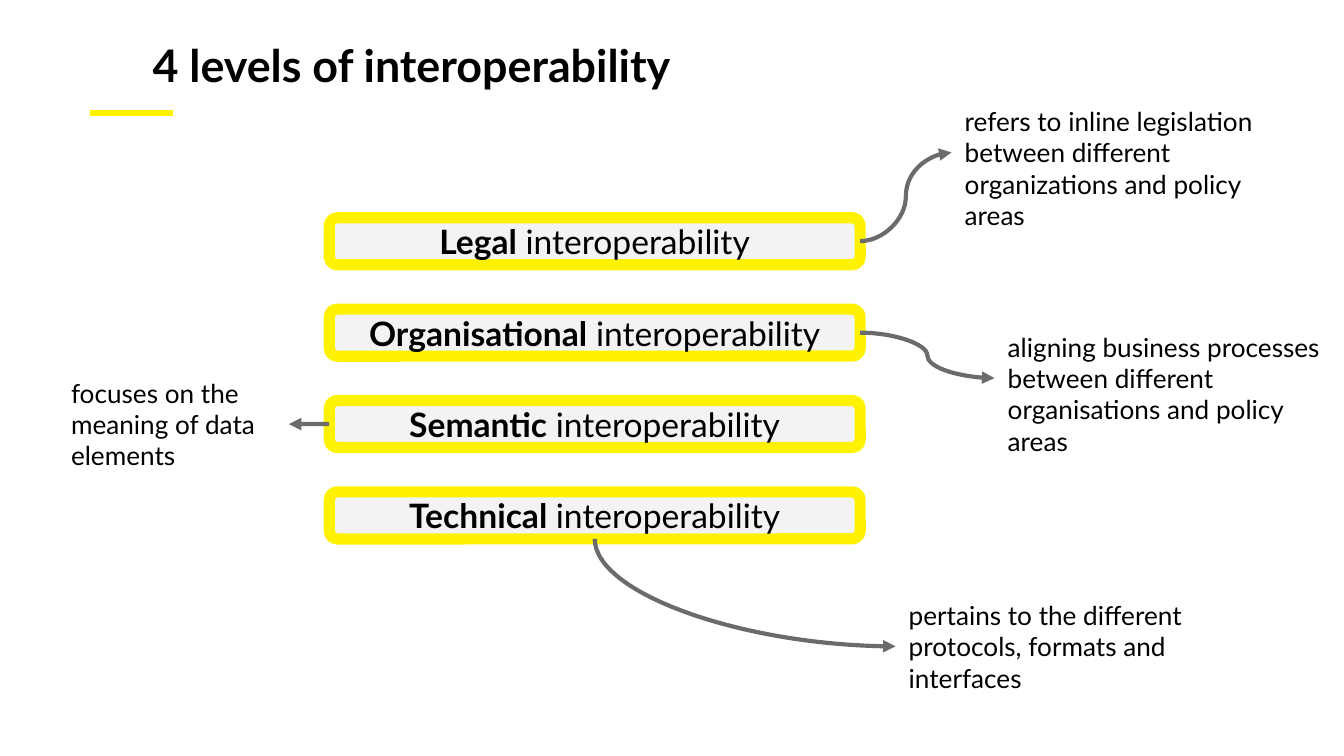
from lxml.etree import SubElement
from pptx import Presentation
from pptx.dml.color import RGBColor
from pptx.enum.shapes import MSO_CONNECTOR, MSO_SHAPE
from pptx.enum.text import MSO_ANCHOR, MSO_AUTO_SIZE, PP_ALIGN
from pptx.oxml.ns import qn
from pptx.util import Inches, Pt

COLORS = {"ink": "000000", "accent": "FFF200", "panel": "F3F3F3", "arrow": "6B6B6B"}
FONT = "Lato"
COLUMNS, ROWS = 100, 56.25
LEVEL_LEFT, LEVEL_TOP, LEVEL_WIDTH, LEVEL_HEIGHT, LEVEL_PITCH = 24.5, 16.2, 39.5, 3.5, 6.8
NOTE_HEIGHT = 9
TOP, LEFT, BOTTOM, RIGHT = range(4)  # connection sites of a box

# Level, its explanation, the explanation's left, top and width, and the sites joined
LEVELS = [
    ("Legal", "refers to inline legislation between different organizations and policy areas",
     (70.8, 6.85, 26), (RIGHT, LEFT)),
    ("Organisational",
     "aligning business processes between different organisations and policy areas",
     (74, 23.63, 26), (RIGHT, LEFT)),
    ("Semantic", "focuses on the meaning of data elements", (4.3, 27.05, 17.2), (LEFT, RIGHT)),
    ("Technical", "pertains to the different protocols, formats and interfaces",
     (66.63, 43.6, 24.3), (BOTTOM, LEFT)),
]


def grid(*cells):
    """Lengths for counts of grid cells, a tenth of an inch each."""
    return [Inches(cell / 10) for cell in cells]


def color(key):
    return RGBColor.from_string(COLORS[key])


def set_margins(frame):
    frame.margin_left, frame.margin_top, frame.margin_right, frame.margin_bottom = grid(1, 1, 1, 1)


def add_run(paragraph, text, size, bold=False):
    run = paragraph.add_run()
    run.text = text
    run.font.name = FONT
    run.font.size = Pt(size)
    run.font.bold = bold
    run.font.color.rgb = color("ink")


def add_title(slide, text):
    title = slide.shapes.title
    title.left, title.top, title.width, title.height = grid(5.5, 1.8, 77.5, 4.8)
    frame = title.text_frame
    set_margins(frame)
    frame.margin_left = grid(5.85)[0]
    frame.auto_size = MSO_AUTO_SIZE.NONE
    frame.vertical_anchor = MSO_ANCHOR.TOP
    paragraph = frame.paragraphs[0]
    paragraph.alignment = PP_ALIGN.LEFT
    add_run(paragraph, text, 24, bold=True)


def add_level(slide, name, row):
    level = slide.shapes.add_shape(
        MSO_SHAPE.ROUNDED_RECTANGLE,
        *grid(LEVEL_LEFT, LEVEL_TOP + row * LEVEL_PITCH, LEVEL_WIDTH, LEVEL_HEIGHT))
    level.shadow.inherit = False
    level.fill.solid()
    level.fill.fore_color.rgb = color("panel")
    level.line.color.rgb = color("accent")
    level.line.width = Pt(6)
    frame = level.text_frame
    set_margins(frame)
    frame.word_wrap = True
    frame.vertical_anchor = MSO_ANCHOR.MIDDLE
    paragraph = frame.paragraphs[0]
    paragraph.alignment = PP_ALIGN.CENTER
    add_run(paragraph, name, 18, bold=True)
    add_run(paragraph, " interoperability", 18)
    return level


def add_note(slide, text, left, top, width):
    note = slide.shapes.add_textbox(*grid(left, top, width, NOTE_HEIGHT))
    set_margins(note.text_frame)
    note.text_frame.word_wrap = True
    add_run(note.text_frame.paragraphs[0], text, 14)
    return note


def add_line(slide, kind, ends, key, width):
    line = slide.shapes.add_connector(kind, *grid(*ends))
    line.line.color.rgb = color(key)
    line.line.width = Pt(width)
    SubElement(line.element.spPr, qn("a:effectLst"))
    return line


def bend_once(arrow):
    """Turn the curve into a quarter arc that leaves downwards and arrives rightwards."""
    left, top, width, height = arrow.left, arrow.top, arrow.width, arrow.height
    arrow.left = left + (width - height) // 2
    arrow.top = top + (height - width) // 2
    arrow.width, arrow.height = height, width
    properties = arrow.element.spPr
    properties.find(qn("a:prstGeom")).set("prst", "curvedConnector2")
    frame = properties.find(qn("a:xfrm"))
    frame.set("rot", str(270 * 60000))
    frame.set("flipH", "1")


def add_arrow(slide, level, note, sites):
    arrow = add_line(slide, MSO_CONNECTOR.CURVE, (0, 0, 1, 1), "arrow", 2.25)
    arrow.begin_connect(level, sites[0])
    arrow.end_connect(note, sites[1])
    SubElement(arrow.element.spPr.find(qn("a:ln")), qn("a:tailEnd"), type="triangle")
    if sites[0] == BOTTOM:
        bend_once(arrow)


def main():
    presentation = Presentation()
    presentation.slide_width, presentation.slide_height = grid(COLUMNS, ROWS)
    slide = presentation.slides.add_slide(presentation.slide_layouts[5])
    add_title(slide, "4 levels of interoperability")
    add_line(slide, MSO_CONNECTOR.STRAIGHT, (6.7, 8.4, 12.9, 8.4), "accent", 3)
    for row, (name, explanation, place, sites) in enumerate(LEVELS):
        level = add_level(slide, name, row)
        note = add_note(slide, explanation, *place)
        add_arrow(slide, level, note, sites)
    presentation.save("out.pptx")


if __name__ == "__main__":
    main()
